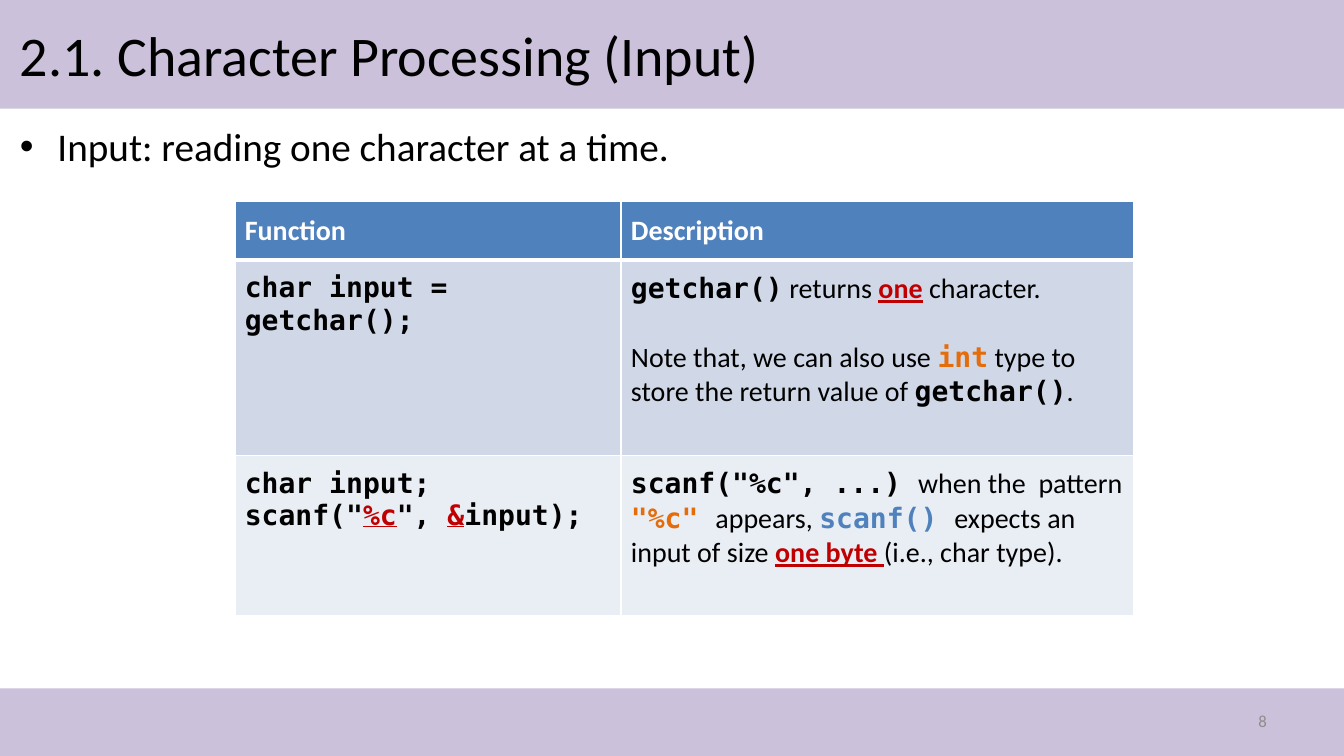
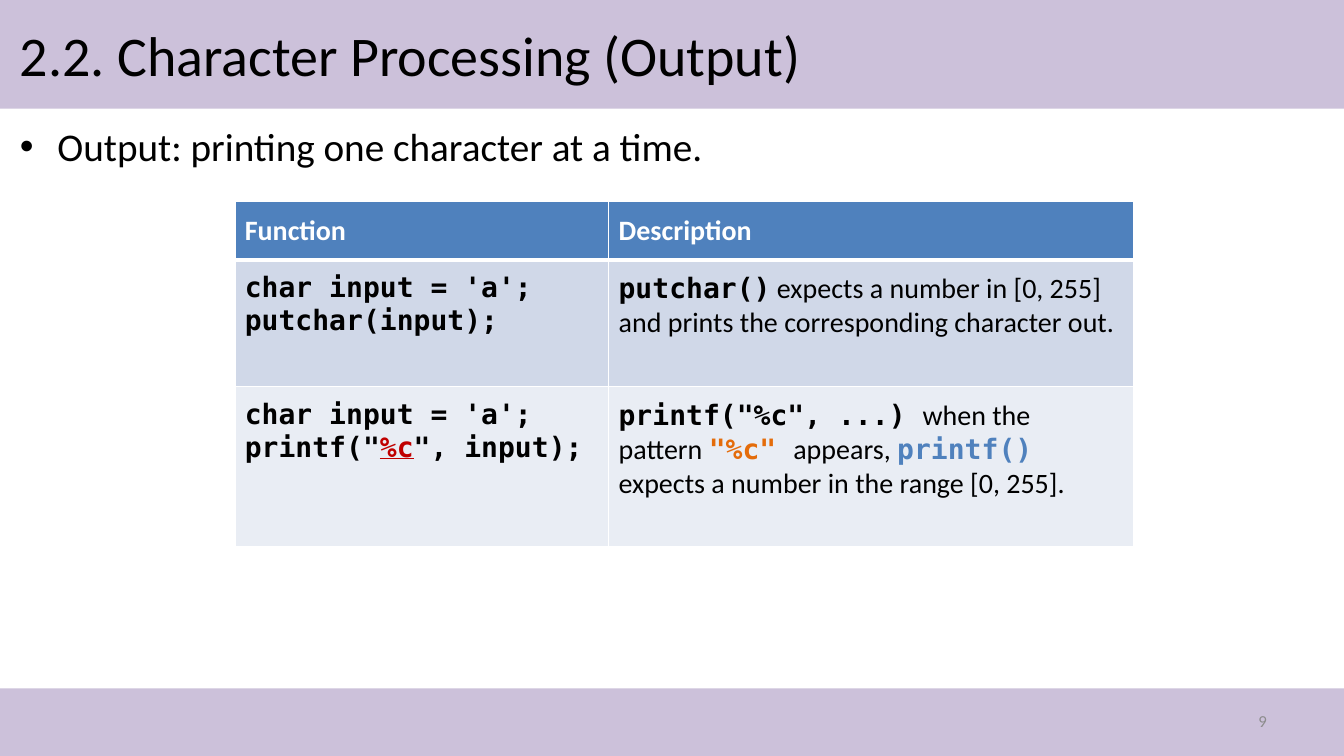
from dataclasses import dataclass

from lxml import etree
from pptx import Presentation
from pptx.dml.color import RGBColor
from pptx.enum import shapes, text
from pptx.oxml import ns
from pptx.util import Cm, Pt


@dataclass(frozen=True)
class Theme:
    sans: str = "Calibri"
    mono: str = "DejaVu Sans Mono"
    band: str = "CCC1DA"
    ink: str = "000000"
    white: str = "FFFFFF"
    muted: str = "8C8C8C"
    blue: str = "4F81BD"
    orange: str = "E46C0A"
    red: str = "C00000"
    row_fills: tuple = ("4F81BD", "D0D8E8", "E9EDF4")
    title_size: int = 40
    body_size: int = 28
    table_size: int = 20
    number_size: int = 12
    rule: int = 1
    header_rule: int = 3


@dataclass(frozen=True)
class Span:
    """A piece of text with one look."""
    words: str
    font: str
    color: str
    bold: bool = False
    underline: bool = False


THEME = Theme()
WIDTH, HEIGHT = Cm(33.87), Cm(19.05)
TITLE_BAND = (0, 0, WIDTH, Cm(2.74))
FOOTER_BAND = (0, Cm(17.35), WIDTH, HEIGHT - Cm(17.35))
BODY_BOX = (Cm(0.25), Cm(2.97), Cm(33.1), Cm(14.17))
TABLE_LEFT, TABLE_TOP, TABLE_WIDTH = Cm(5.92), Cm(5.08), Cm(22.66)
HEADER_HEIGHT = Cm(1.47)
PARAGRAPH_GAP = Pt(24.4)


def prose(words, color=THEME.ink):
    return Span(words, THEME.sans, color)


def code(words, color=THEME.ink, underline=False):
    return Span(words, THEME.mono, color, True, underline)


def key(words):
    return Span(words, THEME.sans, THEME.red, True, True)


def heading(words):
    return Span(words, THEME.sans, THEME.white, True)


def mark(words):
    return code(words, THEME.red, True)


def write(paragraph, spans, size):
    for span in spans:
        run = paragraph.add_run()
        run.text = span.words
        font = run.font
        font.name, font.size = span.font, Pt(size)
        font.bold, font.underline = span.bold, span.underline
        font.color.rgb = RGBColor.from_string(span.color)


def add_text(slide, box, span, size, anchor):
    """Add a one-paragraph text box and return its paragraph."""
    frame = slide.shapes.add_textbox(*box).text_frame
    frame.word_wrap = True
    frame.vertical_anchor = anchor
    paragraph = frame.paragraphs[0]
    write(paragraph, [span], size)
    return paragraph


def add_band(slide, box):
    band = slide.shapes.add_shape(shapes.MSO_SHAPE.RECTANGLE, *box)
    band.shadow.inherit = False
    band.fill.solid()
    band.fill.fore_color.rgb = RGBColor.from_string(THEME.band)
    band.line.fill.background()


def add_title(slide, box, title):
    left, top, width, height = box
    add_band(slide, box)
    inner = (left + Cm(0.25), top + Cm(0.2), width - Cm(0.5), height - Cm(0.4))
    add_text(slide, inner, prose(title), THEME.title_size, text.MSO_ANCHOR.MIDDLE)


def add_footer(slide, box, number):
    left, top, width, height = box
    add_band(slide, box)
    inner = (left + Cm(24.28), top + Cm(0.3), Cm(7.9), Cm(1.02))
    paragraph = add_text(slide, inner, prose(str(number), THEME.muted),
                         THEME.number_size, text.MSO_ANCHOR.MIDDLE)
    paragraph.alignment = text.PP_ALIGN.RIGHT


def add_bullet(slide, box, sentence):
    paragraph = add_text(slide, box, prose(sentence), THEME.body_size,
                         text.MSO_ANCHOR.TOP)
    properties = paragraph._p.get_or_add_pPr()
    indent = Cm(0.95)
    properties.set("marL", str(indent))
    properties.set("indent", str(-indent))
    etree.SubElement(properties, ns.qn("a:buFont"), typeface="Arial")
    etree.SubElement(properties, ns.qn("a:buChar"), char="•")


def set_borders(cell, top, bottom):
    properties = cell._tc.get_or_add_tcPr()
    edges = {"L": THEME.rule, "R": THEME.rule, "T": top, "B": bottom}
    for edge, points in edges.items():
        line = etree.SubElement(properties, ns.qn(f"a:ln{edge}"), w=str(Pt(points)))
        fill = etree.SubElement(line, ns.qn("a:solidFill"))
        etree.SubElement(fill, ns.qn("a:srgbClr"), val=THEME.white)


def fill_cell(cell, paragraphs, color, gap):
    cell.margin_left = cell.margin_right = Cm(0.25)
    cell.margin_top = cell.margin_bottom = Cm(0.3)
    cell.fill.solid()
    cell.fill.fore_color.rgb = RGBColor.from_string(color)
    frame = cell.text_frame
    for index, spans in enumerate(paragraphs):
        paragraph = frame.add_paragraph() if index else frame.paragraphs[0]
        if index:
            paragraph.space_before = gap
        write(paragraph, spans, THEME.table_size)


def add_function_table(slide, left, top, width, function_width, heights, rows):
    """Add a table of code beside its description; rows exclude the header."""
    heights = [HEADER_HEIGHT, *heights]
    rows = [([[heading("Function")]], [[heading("Description")]]), *rows]
    table = slide.shapes.add_table(len(rows), 2, left, top, width,
                                   sum(heights)).table
    table.columns[0].width = function_width
    table.columns[1].width = width - function_width
    for r, (cells, height, color) in enumerate(zip(rows, heights, THEME.row_fills)):
        table.rows[r].height = height
        top_rule = THEME.header_rule if r == 1 else THEME.rule
        bottom_rule = THEME.header_rule if r == 0 else THEME.rule
        for c, (paragraphs, gap) in enumerate(zip(cells, (0, PARAGRAPH_GAP))):
            cell = table.cell(r, c)
            set_borders(cell, top_rule, bottom_rule)
            fill_cell(cell, paragraphs, color, gap)


def pattern_note(function, *ending):
    """Describe how a formatted function treats the %c pattern."""
    return [[code(f'{function}("%c", ...) '), prose("when the  pattern "),
             code('"%c" ', THEME.orange), prose("appears, "),
             code(f"{function}() ", THEME.blue), *ending]]


INPUT_ROWS = [
    ([[code("char input = getchar();")]],
     [[code("getchar()"), prose(" returns "), key("one"), prose(" character.")],
      [prose("Note that, we can also use "), code("int", THEME.orange),
       prose(" type to store the return value of "), code("getchar()"),
       prose(".")]]),
    ([[code("char input;")],
      [code('scanf("'), mark("%c"), code('", '), mark("&"), code("input);")]],
     pattern_note("scanf", prose("expects an input of size "),
                  key("one byte "), prose("(i.e., char type)."))),
]
OUTPUT_ROWS = [
    ([[code("char input = 'a';")], [code("putchar(input);")]],
     [[code("putchar()"), prose(" expects a number in [0, 255] and prints "
                                "the corresponding character out.")]]),
    ([[code("char input = 'a';")],
      [code('printf("'), mark("%c"), code('", input);')]],
     pattern_note("printf", prose("expects a number in the range [0, 255]."))),
]


def add_function_slide(deck, number, title, sentence, function_width, heights, rows):
    slide = deck.slides.add_slide(deck.slide_layouts[6])
    add_title(slide, TITLE_BAND, title)
    add_footer(slide, FOOTER_BAND, number)
    add_bullet(slide, BODY_BOX, sentence)
    add_function_table(slide, TABLE_LEFT, TABLE_TOP, TABLE_WIDTH,
                       function_width, heights, rows)


def main():
    deck = Presentation()
    deck.slide_width, deck.slide_height = WIDTH, HEIGHT
    add_function_slide(deck, 8, "2.1. Character Processing (Input)",
                       "Input: reading one character at a time.",
                       Cm(9.73), (Cm(4.92), Cm(4.03)), INPUT_ROWS)
    add_function_slide(deck, 9, "2.2. Character Processing (Output)",
                       "Output: printing one character at a time.",
                       Cm(9.42), (Cm(3.19), Cm(4.03)), OUTPUT_ROWS)
    deck.save("out.pptx")


if __name__ == "__main__":
    main()
